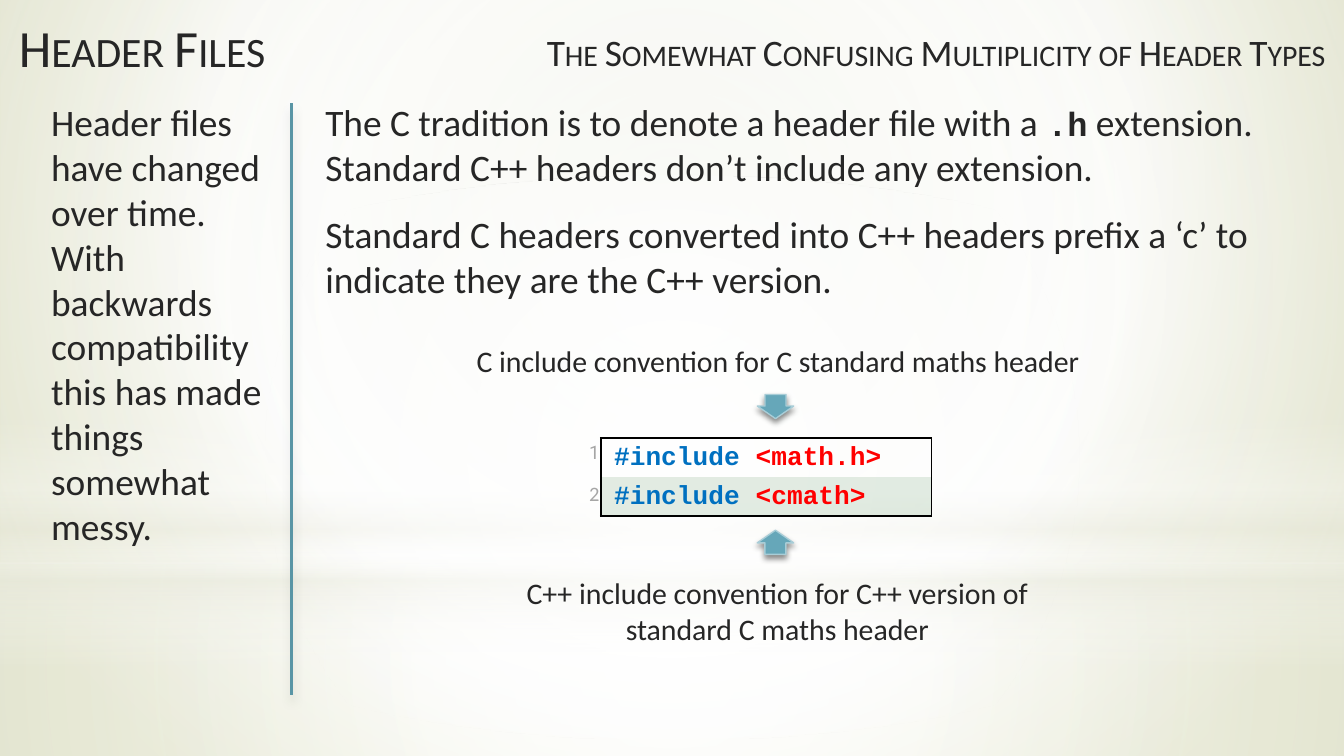
from lxml.etree import SubElement
from pptx import Presentation
from pptx.dml.color import RGBColor
from pptx.enum.shapes import MSO_CONNECTOR as Connector, MSO_SHAPE as Shape
from pptx.enum.text import MSO_ANCHOR as Anchor, MSO_AUTO_SIZE as AutoSize, PP_ALIGN as Align
from pptx.oxml.ns import qn
from pptx.util import Inches, Pt

INK = RGBColor(0x26, 0x26, 0x26)
GREY = RGBColor(0xA6, 0xA6, 0xA6)
KEYWORD = RGBColor(0x00, 0x70, 0xC0)
HEADER_NAME = RGBColor(0xFF, 0x00, 0x00)
BLACK = RGBColor(0x00, 0x00, 0x00)
WHITE = RGBColor(0xFF, 0xFF, 0xFF)
CREAM = RGBColor(0xEA, 0xEB, 0xDE)
PALE_OLIVE = RGBColor(0xE3, 0xE5, 0xD1)
OLIVE = RGBColor(0xCC, 0xD0, 0x9F)
GREEN = RGBColor(0x72, 0xA3, 0x76)
DIVIDER = RGBColor(0x59, 0x95, 0xA5)
ARROW_FILL = RGBColor(0x66, 0xA7, 0xB9)
ARROW_EDGE = RGBColor(0xA8, 0xCD, 0xD7)

CENTRE = (50, 50, 50, 50)
WASHES = [
    (Shape.RECTANGLE, 4.19, 1.44, [(0, WHITE, 91), (37, WHITE, 76), (100, CREAM, 79)], CENTRE),
    (Shape.RECTANGLE, 0, 4.19, [(0, WHITE, 89), (48, WHITE, 62), (100, CREAM, 79)], CENTRE),
    (Shape.RECTANGLE, 3.09, 1.88, [(0, WHITE, 0), (29, WHITE, 30), (45, CREAM, 40),
                                   (55, WHITE, 26), (65, CREAM, 60), (100, WHITE, 0)], None),
    (Shape.OVAL, 1.31, 4.19, [(0, WHITE, 100), (56, WHITE, 0)], CENTRE),
]


def add_color(parent, color, opacity=100):
    node = SubElement(parent, qn("a:srgbClr"), val=str(color))
    if opacity < 100:
        SubElement(node, qn("a:alpha"), val=str(opacity * 1000))


def paint_gradient(properties, stops, focus):
    solid = properties.find(qn("a:solidFill"))
    gradient = SubElement(properties, qn("a:gradFill"), rotWithShape="1")
    stop_list = SubElement(gradient, qn("a:gsLst"))
    for position, color, opacity in stops:
        add_color(SubElement(stop_list, qn("a:gs"), pos=str(position * 1000)), color, opacity)
    if focus:
        circle = SubElement(gradient, qn("a:path"), {"path": "circle"})
        SubElement(circle, qn("a:fillToRect"),
                   {side: str(share * 1000) for side, share in zip("ltrb", focus)})
    else:
        SubElement(gradient, qn("a:lin"), ang="5400000", scaled="0")
    properties.replace(solid, gradient)


def add_shadow(shape, opacity, blur, distance):
    effects = SubElement(shape.element.spPr, qn("a:effectLst"))
    shadow = SubElement(effects, qn("a:outerShdw"), blurRad=str(Pt(blur)),
                        dist=str(Pt(distance)), dir="5400000", rotWithShape="0")
    add_color(shadow, BLACK, opacity)


def add_backdrop(slide):
    slide.background.fill.solid()
    paint_gradient(slide.element.find(".//" + qn("p:bgPr")),
                   [(0, PALE_OLIVE, 100), (60, WHITE, 100), (100, OLIVE, 100)],
                   (20, 10, 20, 60))
    for kind, top, height, stops, focus in WASHES:
        wash = slide.shapes.add_shape(kind, 0, Inches(top), Inches(10), Inches(height))
        wash.shadow.inherit = False
        wash.line.fill.background()
        wash.fill.solid()
        paint_gradient(wash.element.spPr, stops, focus)


def format_run(run, size, color=INK, name="Calibri", bold=False):
    run.font.size = Pt(size)
    run.font.color.rgb = color
    run.font.name = name
    run.font.bold = bold


def add_run(paragraph, text, *style, **options):
    run = paragraph.add_run()
    run.text = text
    format_run(run, *style, **options)


def place_placeholder(slide, holder, left, top, width, height):
    slide.shapes.element.append(holder.element)
    holder.left, holder.top = Inches(left), Inches(top)
    holder.width, holder.height = Inches(width), Inches(height)
    frame = holder.text_frame
    frame.auto_size = AutoSize.NONE
    frame.vertical_anchor = Anchor.TOP
    return frame


def make_plain(paragraph, space_before=0):
    properties = paragraph._p.get_or_add_pPr()
    properties.set("marL", "0")
    properties.set("indent", "0")
    SubElement(properties, qn("a:buNone"))
    paragraph.alignment = Align.LEFT
    paragraph.space_before = Pt(space_before)


def use_small_caps(run):
    run.font._element.set("cap", "small")


def add_label(slide, text, left, top, width, height, size, align):
    label = slide.shapes.add_textbox(Inches(left), Inches(top), Inches(width), Inches(height))
    label.text_frame.word_wrap = True
    label.text_frame.text = text
    paragraph = label.text_frame.paragraphs[0]
    paragraph.alignment = align
    format_run(paragraph.runs[0], size)
    return paragraph.runs[0]


def add_borders(cell, sides):
    properties = cell._tc.get_or_add_tcPr()
    for side in "LRTB":
        border = SubElement(properties, qn("a:ln" + side), w=str(Pt(1)))
        if side in sides:
            add_color(SubElement(border, qn("a:solidFill")), BLACK)
        else:
            SubElement(border, qn("a:noFill"))


def add_code_table(slide):
    table = slide.shapes.add_table(2, 2, Inches(4.13), Inches(3.26),
                                   Inches(2.8), Inches(0.58)).table
    table.first_row = table.horz_banding = False
    table.columns[0].width, table.columns[1].width = Inches(0.34), Inches(2.46)
    lines = [("<math.h>", 10, "Roboto", "LRT"), ("<cmath>", 11, "Calibri", "LRB")]
    for row, (header, number_size, number_font, sides) in enumerate(lines):
        number, code = table.cell(row, 0), table.cell(row, 1)
        for cell, borders in ((number, "R"), (code, sides)):
            cell.margin_left = cell.margin_right = Inches(0.01)
            cell.margin_top = cell.margin_bottom = Inches(0.01)
            add_borders(cell, borders)
            cell.fill.background()
            cell.text_frame.paragraphs[0].line_spacing = 1.15
        code.margin_left = Inches(0.1)
        number_line = number.text_frame.paragraphs[0]
        number_line.alignment = Align.RIGHT
        add_run(number_line, str(row + 1), number_size, GREY, number_font)
        code_line = code.text_frame.paragraphs[0]
        add_run(code_line, "#include ", 14, KEYWORD, "Courier New", bold=True)
        add_run(code_line, header, 14, HEADER_NAME, "Courier New", bold=True)
    code.fill.solid()
    code.fill.fore_color.rgb = GREEN
    tint = code._tc.tcPr.find(qn("a:solidFill")).find(qn("a:srgbClr"))
    SubElement(tint, qn("a:alpha"), val="20000")


def add_divider(slide):
    divider = slide.shapes.add_connector(Connector.STRAIGHT, Inches(2.17), Inches(0.77),
                                         Inches(2.17), Inches(5.17))
    divider.line.color.rgb = DIVIDER
    divider.line.width = Pt(1.25)
    add_shadow(divider, 20, 5, 4)


def add_arrow(slide, top, rotation):
    arrow = slide.shapes.add_shape(Shape.RIGHT_ARROW, Inches(5.68), Inches(top),
                                   Inches(0.18), Inches(0.27))
    arrow.rotation = rotation
    arrow.adjustments[0], arrow.adjustments[1] = 0.58, 0.52
    arrow.fill.solid()
    arrow.fill.fore_color.rgb = ARROW_FILL
    arrow.line.color.rgb = ARROW_EDGE
    arrow.line.width = Pt(0.75)
    add_shadow(arrow, 45, 3.1, 1.8)


def main():
    deck = Presentation()
    deck.slide_width = Inches(10)
    deck.slide_height = deck.slide_width * 9 // 16
    slide = deck.slides.add_slide(deck.slide_layouts[3])
    add_backdrop(slide)
    title, summary, details = slide.placeholders

    heading = place_placeholder(slide, title, 0.04, 0.06, 6.61, 0.63)
    heading.text = "Header Files"
    heading.paragraphs[0].alignment = Align.LEFT
    format_run(heading.paragraphs[0].runs[0], 28)
    use_small_caps(heading.paragraphs[0].runs[0])
    use_small_caps(add_label(slide, "The Somewhat Confusing Multiplicity of Header Types",
                             3.66, 0.17, 6.3, 0.44, 20, Align.RIGHT))

    add_code_table(slide)
    add_label(slide, "C include convention for C standard maths header",
              3.43, 2.5, 4.72, 0.37, 16, Align.CENTER)
    add_label(slide, "C++ include convention for C++ version of standard C maths header",
              3.5, 4.23, 4.57, 0.64, 16, Align.CENTER)

    rules = place_placeholder(slide, details, 2.32, 0.69, 7.21, 1.62)
    extension = rules.paragraphs[0]
    make_plain(extension)
    add_run(extension, "The C tradition is to denote a header file with a ", 20)
    add_run(extension, ".h", 18, name="Courier New", bold=True)
    add_run(extension, " extension. Standard C++ headers don’t include any extension.", 20)
    prefix = rules.add_paragraph()
    make_plain(prefix, 12)
    add_run(prefix, "Standard C headers converted into C++ headers prefix a ‘c’ to "
                    "indicate they are the C++ version.", 20)

    history = place_placeholder(slide, summary, 0.28, 0.69, 1.89, 3.47).paragraphs[0]
    make_plain(history)
    add_run(history, "Header files have changed over time. With backwards compatibility "
                     "this has made things somewhat messy.", 20)

    add_divider(slide)
    add_arrow(slide, 2.89, 90)
    add_arrow(slide, 3.9, 270)
    deck.save("out.pptx")


if __name__ == "__main__":
    main()
